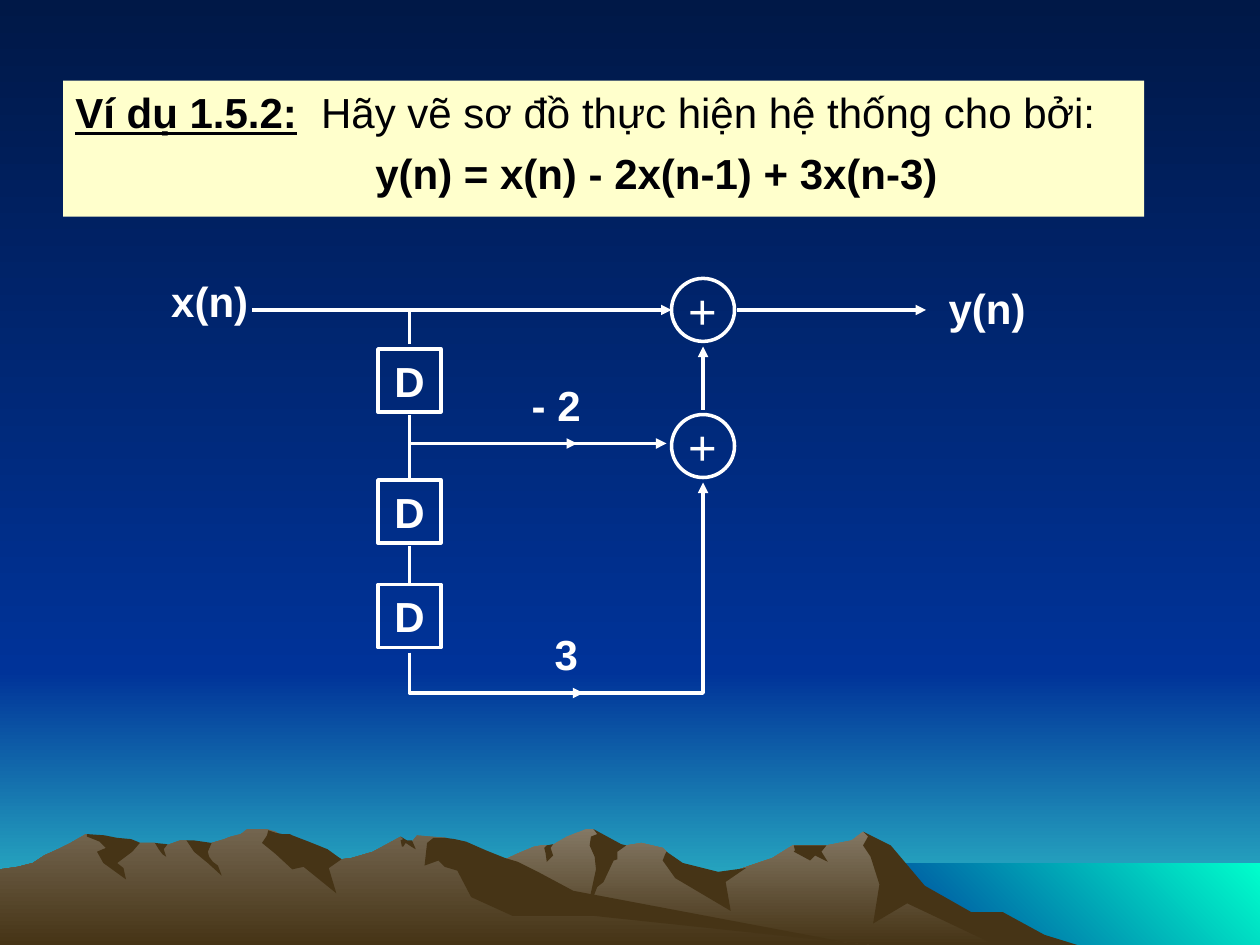
from lxml import etree
from pptx import Presentation
from pptx.dml.color import RGBColor
from pptx.enum import shapes, text
from pptx.oxml import ns
from pptx.util import Inches, Pt

COLORS = {
    "night": "001847", "blue": "003399", "haze": "33CCCC", "sea": "00FFCC",
    "rock_light": "847864", "rock": "73654F", "shade": "463416",
    "note": "FFFFCC", "ink": "000004", "white": "FFFFFF",
}

# Mountain outlines: x,y in inches from the landscape's top-left corner
RIGHT_RIDGE = """8.02,7.4 7.78,7.27 7.64,7.23 7.23,6.98 7.02,6.71 6.85,6.6 6.76,6.67
    6.56,6.71 6.29,6.71 6.13,6.81 5.66,6.97 5.36,6.9 5.29,6.76 5.26,6.73 5.09,6.69
    4.97,6.71 4.86,6.73 4.74,6.61 4.71,6.58 4.65,6.58 4.5,6.64 4.38,6.71 4.3,6.71
    4.24,6.72 4.12,6.77 3.99,6.83 3.94,6.85 3.55,6.98 3.27,7.09 2.77,7.39 2.58,7.5
    8.2,7.5"""
LEFT_RIDGE = """6.9,7.5 6.67,7.48 4.32,7.12 3.54,6.65 3.31,6.63 3.27,6.68 3.23,6.68
    3.18,6.64 2.96,6.76 2.79,6.81 2.71,6.82 2.6,6.76 2.36,6.81 2.23,6.63 2.19,6.6
    2.12,6.58 1.96,6.58 1.91,6.62 1.83,6.64 1.78,6.66 1.68,6.69 1.6,6.71 1.48,6.67
    1.43,6.67 1.32,6.71 1.28,6.71 1.23,6.69 1.11,6.69 0.94,6.71 0.68,6.62 0.56,6.69
    0.46,6.74 0.35,6.79 0.26,6.85 0.14,6.88 0,6.9 0,7.5"""
RIGHT_SHADES = [
    """7.96,7.24 7.71,7.24 7.34,7.03 7.07,6.71 6.85,6.6 6.89,6.64 6.85,6.71 6.91,6.8
    6.98,7.02 6.93,7.33 7.2,7.17 7.9,7.5 8.55,7.5 8.29,7.42""",
    """4.71,6.58 4.74,6.62 4.69,6.64 4.68,6.71 4.72,6.8 4.73,6.9 4.65,7.27 4.74,7.04
    4.79,7 4.87,6.83 4.9,6.82 4.9,6.76 4.97,6.71 4.93,6.7""",
    """5.29,6.76 5.28,6.78 5.26,6.83 5.36,6.97 5.8,7.23 5.76,7 5.92,6.89 5.7,6.92
    5.42,6.85""",
    """6.5,6.71 6.3,6.71 6.31,6.75 6.3,6.76 6.43,6.83 6.47,6.79 6.57,6.84 6.52,6.76
    6.56,6.71""",
    "4.33,6.77 4.32,6.73 4.34,6.71 4.39,6.7 4.37,6.73 4.39,6.79 4.34,6.84",
]
LEFT_SHADES = [
    """2.12,6.63 2.08,6.69 2.19,6.78 2.32,6.9 2.41,6.88 2.67,7.09 2.61,6.89 2.71,6.82
    2.6,6.74 2.45,6.68 2.32,6.63 2.3,6.62 2.24,6.62 2.19,6.61 2.13,6.59""",
    """3.7,6.68 3.61,6.66 3.54,6.65 3.44,6.65 3.39,6.69 3.37,6.87 3.48,6.83 3.53,6.88
    3.63,6.91 3.74,7.12 4.07,7.27 4.72,7.27 6.9,7.5 6.83,7.5 4.55,7.07 4.27,6.92
    4.11,6.84 4.01,6.81 3.86,6.75""",
    """3.18,6.67 3.2,6.66 3.18,6.64 3.23,6.67 3.27,6.67 3.3,6.74 3.28,6.73 3.22,6.69
    3.2,6.72 3.19,6.72""",
    """1.54,6.67 1.61,6.68 1.68,6.69 1.65,6.76 1.66,6.8 1.69,6.84 1.73,6.87 1.76,6.95
    1.65,6.85 1.54,6.76 1.48,6.67""",
    "1.33,6.7 1.3,6.74 1.32,6.8 1.29,6.78 1.26,6.74 1.23,6.69",
    """1.09,6.68 1.11,6.69 1.05,6.76 0.93,6.85 0.98,6.89 1,6.98 0.82,6.85 0.77,6.76
    0.84,6.73 0.79,6.68 0.69,6.64 0.69,6.62 0.83,6.63 0.93,6.65 1.04,6.66""",
]


def rgb(name):
    return RGBColor.from_string(COLORS[name])


def paint(fill, *names, angle=270):
    """Fill with one colour, or with a gradient between two."""
    if len(names) == 1:
        fill.solid()
        fill.fore_color.rgb = rgb(names[0])
        return
    fill.gradient()
    fill.gradient_angle = angle
    for stop, name in zip(fill.gradient_stops, names):
        stop.color.rgb = rgb(name)


def freeform(s, x, y, points, close=True):
    pts = [(x + Inches(px), y + Inches(py)) for px, py in points]
    fb = s.shapes.build_freeform(*pts[0])
    fb.add_line_segments(pts[1:], close=close)
    sp = fb.convert_to_shape()
    sp.shadow.inherit = False
    return sp


def stroke(sp, arrow=False):
    sp.line.color.rgb = rgb("white")
    sp.line.width = Pt(2)
    if arrow:
        ln = sp._element.spPr.find(ns.qn("a:ln"))
        etree.SubElement(ln, ns.qn("a:tailEnd"), type="triangle")


def write(p, words, color="white", **fmt):
    r = p.add_run()
    r.text = words
    r.font.color.rgb = rgb(color)
    for key, value in {"name": "Arial", "size": Pt(24), **fmt}.items():
        setattr(r.font, key, value)


def landscape(s, x, y):
    def area(points, *names, **kw):
        sp = freeform(s, x, y, points)
        paint(sp.fill, *names, **kw)
        sp.line.fill.background()

    def band(left, top, bottom, *names, **kw):
        area([(left, top), (10, top), (10, bottom), (left, bottom)], *names, **kw)

    def mountain(ridge, light, shades):
        for outline, names in [(ridge, (light, "shade"))] + [(o, ("shade",)) for o in shades]:
            area([map(float, pt.split(",")) for pt in outline.split()], *names)

    # Horizon, sky and sea
    band(0, 5.33, 7.5, "blue", "haze")
    band(0, 0, 5.33, "night", "blue")
    band(6.83, 6.85, 7.5, "blue", "sea", angle=45)
    # Mountains
    mountain(RIGHT_RIDGE, "rock_light", RIGHT_SHADES)
    mountain(LEFT_RIDGE, "rock", LEFT_SHADES)


def problem(s, x, y, w, h):
    sp = s.shapes.add_shape(shapes.MSO_SHAPE.RECTANGLE, x, y, w, h)
    sp.shadow.inherit = False
    paint(sp.fill, "note")
    sp.line.fill.background()
    tf = sp.text_frame
    tf.word_wrap = True
    tf.vertical_anchor = text.MSO_ANCHOR.TOP
    p = tf.paragraphs[0]
    p.alignment = text.PP_ALIGN.LEFT
    tabs = etree.SubElement(p._p.get_or_add_pPr(), ns.qn("a:tabLst"))
    etree.SubElement(tabs, ns.qn("a:tab"), pos=str(Inches(1.95)), algn="l")
    write(p, "Ví dụ 1.5.2:", "ink", bold=True, underline=True)
    write(p, "\tHãy vẽ sơ đồ thực hiện hệ thống cho bởi:", "ink")
    p = tf.add_paragraph()
    p.alignment = text.PP_ALIGN.LEFT
    p.space_before = Pt(6)
    p._p.get_or_add_pPr().set("marL", str(Inches(2.38)))
    write(p, "y(n) = x(n) - 2x(n-1) + 3x(n-3)", "ink", bold=True)


def diagram(s, x, y):
    delay_x, sum_x = 2, 4.33          # centre lines of the two columns
    main_y, tap_y, low_y = 0.32, 1.38, 3.36

    def line(x1, y1, x2, y2, arrow=False):
        c = s.shapes.add_connector(
            shapes.MSO_CONNECTOR.STRAIGHT, x + Inches(x1), y + Inches(y1),
            x + Inches(x2), y + Inches(y2))
        stroke(c, arrow)
        etree.SubElement(c._element.spPr, ns.qn("a:effectLst"))

    def node(kind, cx, top, sign, **fmt):
        sp = s.shapes.add_shape(kind, x + Inches(cx - 0.25), y + Inches(top),
                                Inches(0.5), Inches(0.5))
        sp.shadow.inherit = False
        sp.fill.background()
        stroke(sp)
        tf = sp.text_frame
        tf.word_wrap = False
        tf.vertical_anchor = text.MSO_ANCHOR.MIDDLE
        tf.paragraphs[0].alignment = text.PP_ALIGN.CENTER
        write(tf.paragraphs[0], sign, **fmt)

    def label(left, top, words):
        tf = s.shapes.add_textbox(x + Inches(left), y + Inches(top),
                                  Inches(0.83), Inches(0.5)).text_frame
        tf.word_wrap = True
        tf.paragraphs[0].alignment = text.PP_ALIGN.CENTER
        write(tf.paragraphs[0], words, bold=True)

    # Adders and delays
    for top in (0.07, 1.15):
        node(shapes.MSO_SHAPE.OVAL, sum_x, top, "+", size=Pt(28))
    for top in (0.63, 1.67, 2.5):
        node(shapes.MSO_SHAPE.RECTANGLE, delay_x, top, "D", bold=True)
    # Signal arrows
    for ends in [(0.75, main_y, 4.08, main_y), (4.6, main_y, 6.1, main_y),
                 (delay_x, tap_y, 4.04, tap_y), (3, tap_y, 3.33, tap_y),
                 (sum_x, 1.11, sum_x, 0.61), (3.04, low_y, 3.38, low_y)]:
        line(*ends, arrow=True)
    # Links between delays
    for top, bottom in [(main_y, 0.59), (1.15, 1.65), (2.19, 2.5)]:
        line(delay_x, top, delay_x, bottom)
    # Lower branch
    branch = freeform(s, x, y, [(delay_x, 3.04), (delay_x, low_y),
                                (sum_x, low_y), (sum_x, 1.69)], close=False)
    branch.fill.background()
    stroke(branch, arrow=True)
    # Signal names and gains
    for item in [(0, 0, "x(n)"), (6.17, 0.05, "y(n)"),
                 (2.75, 0.82, "- 2"), (2.83, 2.8, "3")]:
        label(*item)


def main():
    prs = Presentation()
    prs.slide_width, prs.slide_height = Inches(10), Inches(7.5)
    s = prs.slides.add_slide(prs.slide_layouts[6])
    paint(s.background.fill, "night", "blue")
    landscape(s, 0, 0)
    problem(s, Inches(0.5), Inches(0.64), Inches(8.58), Inches(1.08))
    diagram(s, Inches(1.25), Inches(2.14))
    prs.save("out.pptx")


if __name__ == "__main__":
    main()
